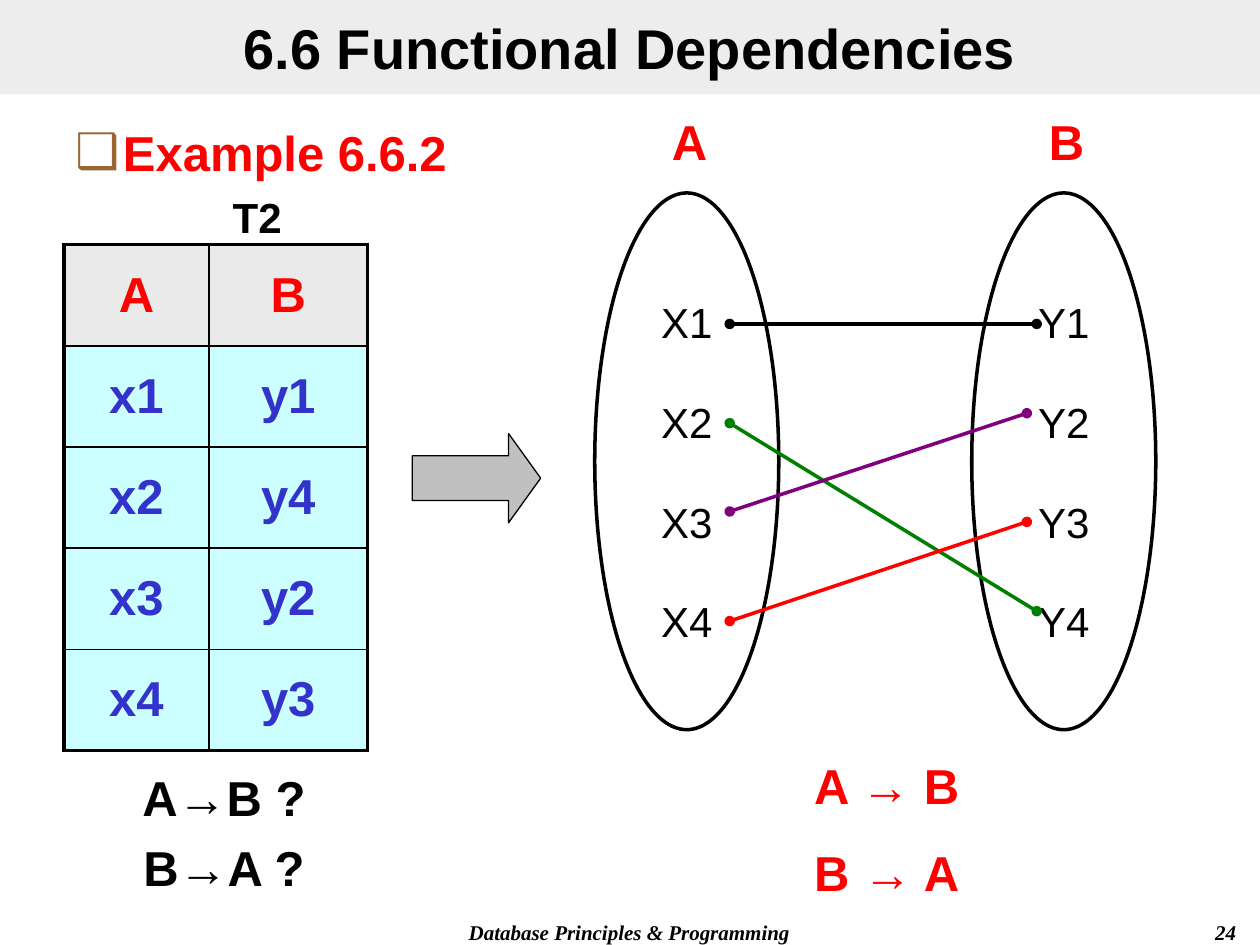
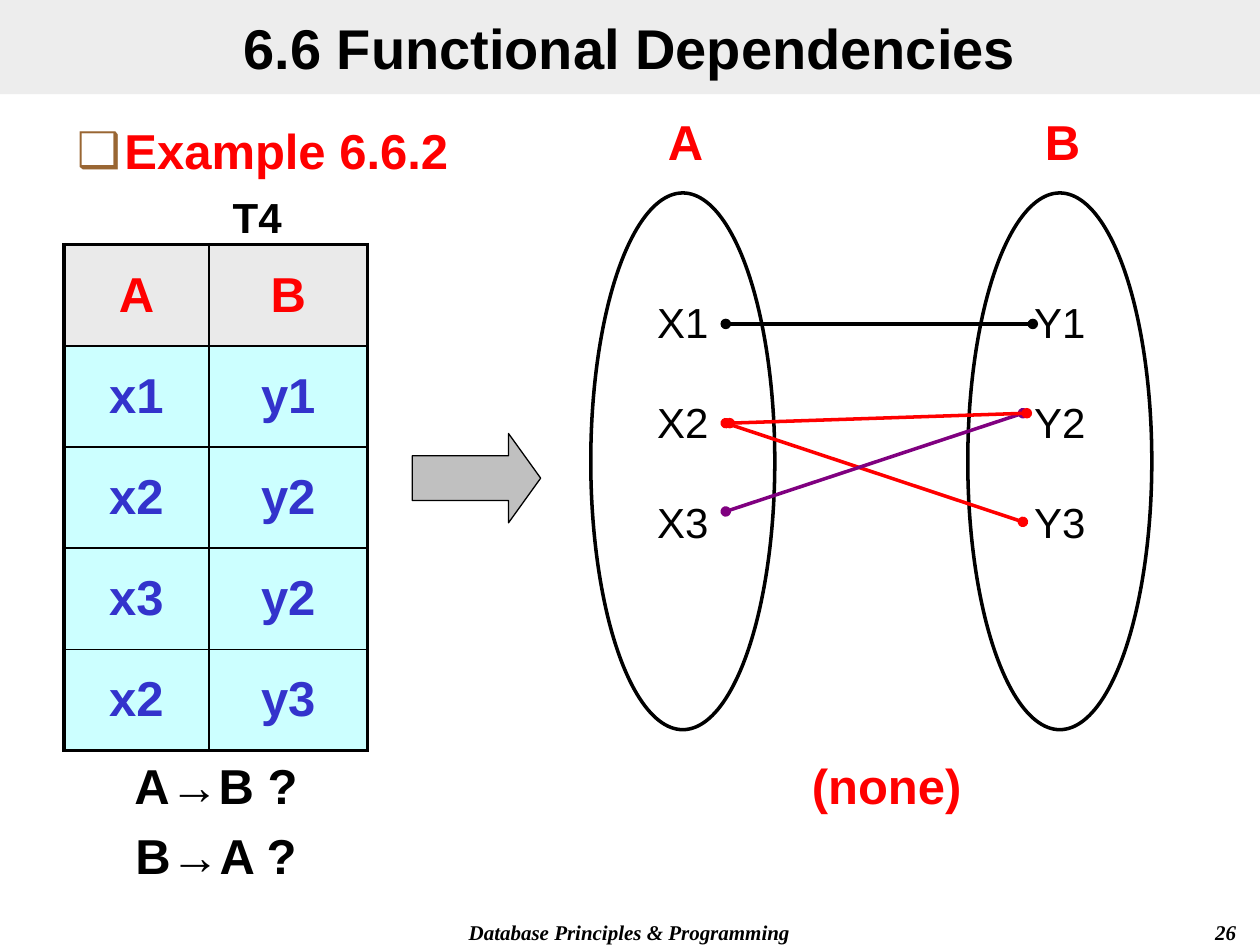
from lxml.etree import SubElement
from pptx import Presentation
from pptx.dml.color import RGBColor
from pptx.enum.shapes import MSO_CONNECTOR, MSO_SHAPE
from pptx.enum.text import MSO_ANCHOR as Anchor, PP_ALIGN as Align
from pptx.oxml.ns import qn
from pptx.util import Cm, Pt

BLACK = RGBColor(0x00, 0x00, 0x00)
RED = RGBColor(0xFF, 0x00, 0x00)
GREEN = RGBColor(0x00, 0x80, 0x00)
PURPLE = RGBColor(0x80, 0x00, 0x80)
BLUE = RGBColor(0x33, 0x33, 0xCC)
BROWN = RGBColor(0x99, 0x66, 0x33)
BAND = RGBColor(0xDD, 0xDD, 0xDD)
HEADER_FILL = RGBColor(0xEA, 0xEA, 0xEA)
BODY_FILL = RGBColor(0xCC, 0xFF, 0xFF)
ARROW_FILL = RGBColor(0xC0, 0xC0, 0xC0)

TITLE = "6.6 Functional Dependencies"
FOOTER = "Database Principles & Programming"
EXAMPLE = "Example 6.6.2"
COLUMNS = ("A", "B")
QUESTIONS = ["A→B ?", "B→A ?"]

# Links are (X number, Y number, colour, shift to the right in cm).
# Positions are in cm.
SLIDES = [
    {
        "number": "24", "table": "T2",
        "rows": [("x1", "y1"), ("x2", "y4"), ("x3", "y2"), ("x4", "y3")],
        "members": 4,
        "links": [(1, 1, BLACK, 0), (2, 4, GREEN, 0),
                  (3, 2, PURPLE, 0), (4, 3, RED, 0)],
        "answers": ["A → B", "B → A"],
        "example_at": (1.27, 2.34), "questions_at": (2.29, 15.34),
        "diagram_left": 11.99,
    },
    {
        "number": "26", "table": "T4",
        "rows": [("x1", "y1"), ("x2", "y2"), ("x3", "y2"), ("x2", "y3")],
        "members": 3,
        "links": [(1, 1, BLACK, 0), (2, 3, RED, 0),
                  (3, 2, PURPLE, 0), (2, 2, RED, 0.08)],
        "answers": ["(none)"],
        "example_at": (1.3, 2.31), "questions_at": (2.13, 15.11),
        "diagram_left": 11.91,
    },
]

TABLE_LEFT, TABLE_TOP = 1.29, 4.93
COLUMN_WIDTHS = (2.92, 3.2)
ROW_HEIGHT = 2.04
OVAL_TOP, OVAL_WIDTH, OVAL_HEIGHT = 3.89, 3.71, 10.82
OVAL_STEP = 7.6
# Link ends: distances from the left of the first oval, heights on the slide.
X_DOT = 2.72
Y_DOTS = (8.91, 8.71, 8.71, 8.91)
X_HEIGHTS = (6.53, 8.53, 10.31, 12.52)
Y_HEIGHTS = (6.53, 8.33, 10.52, 12.32)


def write(frame, lines, size=28, color=BLACK, font="Arial", bold=True,
          italic=False, align=Align.CENTER, anchor=Anchor.TOP, gap=0,
          spacing=None):
    """Fill a text frame; gap is the share of a line between paragraphs."""
    frame.word_wrap = True
    frame.vertical_anchor = anchor
    for index, line in enumerate(lines):
        paragraph = frame.add_paragraph() if index else frame.paragraphs[0]
        paragraph.alignment = align
        if spacing:
            paragraph.line_spacing = spacing
        if index and gap:
            paragraph.space_before = Pt(round(1.15 * gap * size, 1))
        run = paragraph.add_run()
        run.text = line
        run.font.name, run.font.size = font, Pt(size)
        run.font.bold, run.font.italic = bold, italic
        run.font.color.rgb = color


def add_text(slide, box, lines, **style):
    """Add a text box at (left, top, width, height) in cm."""
    frame = slide.shapes.add_textbox(*map(Cm, box)).text_frame
    write(frame, lines, **style)
    return frame


def add_shape(slide, kind, box, fill=None, line=None, width=1):
    """Add a preset shape without shadow, optionally filled and outlined."""
    shape = slide.shapes.add_shape(kind, *map(Cm, box))
    shape.shadow.inherit = False
    if fill is None:
        shape.fill.background()
    else:
        shape.fill.solid()
        shape.fill.fore_color.rgb = fill
    if line is None:
        shape.line.fill.background()
    else:
        shape.line.color.rgb = line
        shape.line.width = Pt(width)
    return shape


def add_frame(slide, number):
    """Add the footer, the slide number and the half transparent title band."""
    small = dict(size=12, font="Times New Roman", italic=True)
    add_text(slide, (7.19, 18.42, 11, 0.64), [FOOTER], **small)
    add_text(slide, (19.89, 18.42, 5.28, 0.64), [number],
             align=Align.RIGHT, **small)
    band = add_shape(slide, MSO_SHAPE.RECTANGLE, (0, 0, 25.4, 1.9), BAND)
    shade = band._element.spPr.find(qn("a:solidFill")).find(qn("a:srgbClr"))
    SubElement(shade, qn("a:alpha"), val="50000")
    write(band.text_frame, [TITLE], size=32, anchor=Anchor.MIDDLE)


def add_example(slide, left, top):
    """Add the example heading with its box bullet."""
    frame = add_text(slide, (left, top, 22.86, 15.67), [EXAMPLE],
                     color=RED, align=Align.LEFT)
    properties = frame.paragraphs[0]._p.get_or_add_pPr()
    indent = Cm(0.96)
    properties.set("marL", str(indent))
    properties.set("indent", str(-indent))
    bullet_color = SubElement(properties, qn("a:buClr"))
    SubElement(bullet_color, qn("a:srgbClr"), val=str(BROWN))
    SubElement(properties, qn("a:buFont"), typeface="Arial")
    SubElement(properties, qn("a:buChar"), char="❑")


def add_border(cell, side, width):
    """Draw one black border of a cell, width in points."""
    border = SubElement(cell._tc.get_or_add_tcPr(), qn("a:ln" + side),
                        w=str(Pt(width)))
    fill = SubElement(border, qn("a:solidFill"))
    SubElement(fill, qn("a:srgbClr"), val=str(BLACK))


def add_relation(slide, name, rows):
    """Add the named relation as a table with a thick outer border."""
    grid = [COLUMNS, *rows]
    last_row, last_column = len(grid) - 1, len(COLUMNS) - 1
    table = slide.shapes.add_table(
        len(grid), len(COLUMNS), Cm(TABLE_LEFT), Cm(TABLE_TOP),
        Cm(sum(COLUMN_WIDTHS)), Cm(ROW_HEIGHT * len(grid))).table
    table.first_row = table.horz_banding = False
    for column, width in zip(table.columns, COLUMN_WIDTHS):
        column.width = Cm(width)
    for r, values in enumerate(grid):
        table.rows[r].height = Cm(ROW_HEIGHT)
        for c, value in enumerate(values):
            cell = table.cell(r, c)
            outer = {"L": c == 0, "R": c == last_column,
                     "T": r == 0, "B": r == last_row}
            for side, thick in outer.items():
                add_border(cell, side, 2.25 if thick else 1)
            cell.fill.solid()
            cell.fill.fore_color.rgb = BODY_FILL if r else HEADER_FILL
            cell.margin_top = cell.margin_bottom = 0
            write(cell.text_frame, [value], color=BLUE if r else RED)
            cell.vertical_anchor = Anchor.MIDDLE
    add_text(slide, (3.38, 3.73, 3.61, 1.27), [name], size=24)


def add_link(slide, start, end, color):
    """Add a line with a dot at both ends."""
    link = slide.shapes.add_connector(
        MSO_CONNECTOR.STRAIGHT, *map(Cm, (*start, *end)))
    link.line.color.rgb = color
    link.line.width = Pt(2)
    outline = link.line._get_or_add_ln()
    for tip in ("a:headEnd", "a:tailEnd"):
        SubElement(outline, qn(tip), type="oval")
    SubElement(link._element.spPr, qn("a:effectLst"))


def add_mapping(slide, left, members, links):
    """Add the ovals of both attributes and the links between members."""
    for index, (attribute, letter) in enumerate(zip(COLUMNS, "XY")):
        oval_left = left + index * OVAL_STEP
        oval = add_shape(slide, MSO_SHAPE.OVAL,
                         (oval_left, OVAL_TOP, OVAL_WIDTH, OVAL_HEIGHT),
                         line=BLACK, width=2)
        oval.text_frame.margin_top = oval.text_frame.margin_bottom = 0
        write(oval.text_frame,
              [f"{letter}{n}" for n in range(1, members + 1)],
              size=24, bold=False, gap=0.5, spacing=1.5)
        add_text(slide, (oval_left + 0.31, 2.13, 3.2, 1.45), [attribute],
                 color=RED)
    for x, y, color, shift in links:
        origin = left + shift
        add_link(slide, (origin + X_DOT, X_HEIGHTS[x - 1]),
                 (origin + Y_DOTS[y - 1], Y_HEIGHTS[y - 1]), color)


def build_slide(deck, content):
    """Build one example slide from its content."""
    slide = deck.slides.add_slide(deck.slide_layouts[6])
    add_frame(slide, content["number"])
    add_example(slide, *content["example_at"])
    add_relation(slide, content["table"], content["rows"])
    answers = content["answers"]
    add_text(slide, (15.65, 15.11, 4.45, 1.45 + 1.78 * (len(answers) - 1)),
             answers, color=RED, gap=0.5)
    add_mapping(slide, content["diagram_left"], content["members"],
                content["links"])
    arrow = add_shape(slide, MSO_SHAPE.RIGHT_ARROW, (8.31, 8.74, 2.59, 1.8),
                      ARROW_FILL, BLACK, 0.75)
    arrow.adjustments[0], arrow.adjustments[1] = 0.5, 0.36
    add_text(slide, (*content["questions_at"], 4.45, 2.87), QUESTIONS,
             gap=0.2)


deck = Presentation()
deck.slide_width, deck.slide_height = Cm(25.4), Cm(19.05)
for slide_content in SLIDES:
    build_slide(deck, slide_content)
deck.save("out.pptx")
